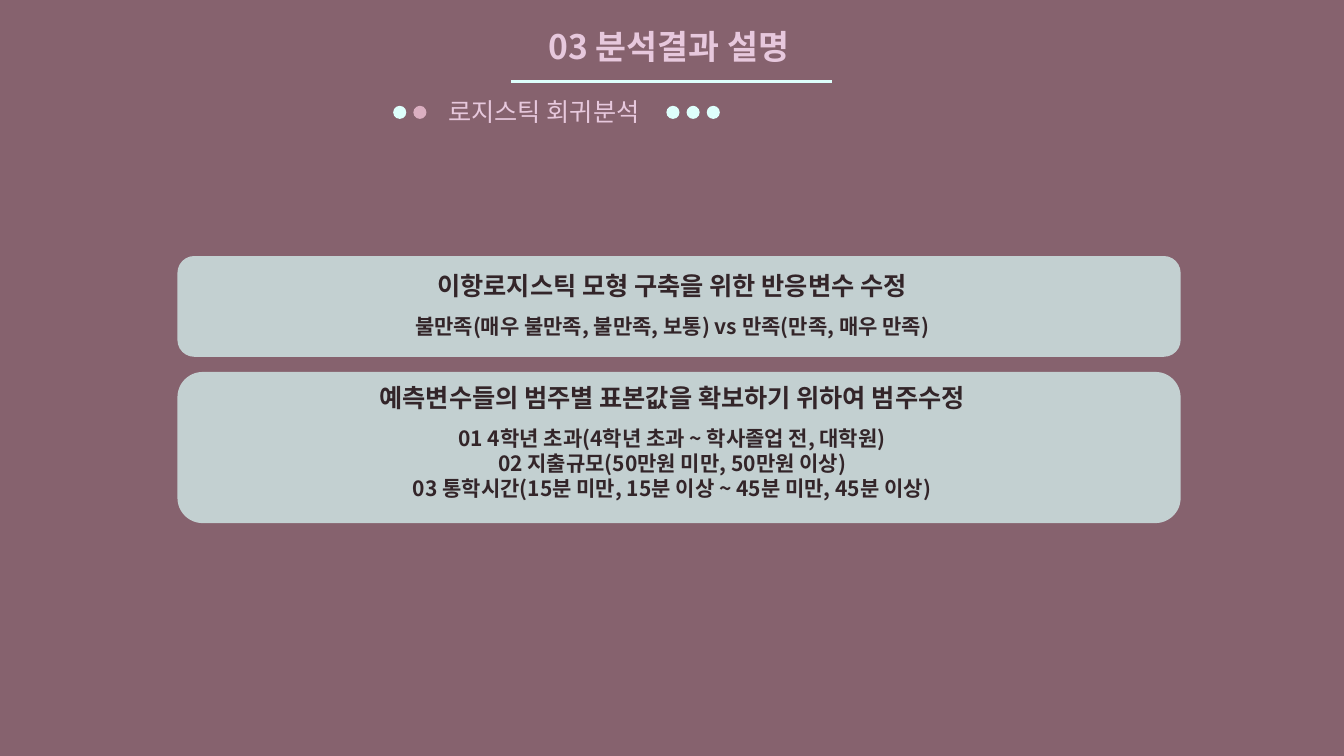
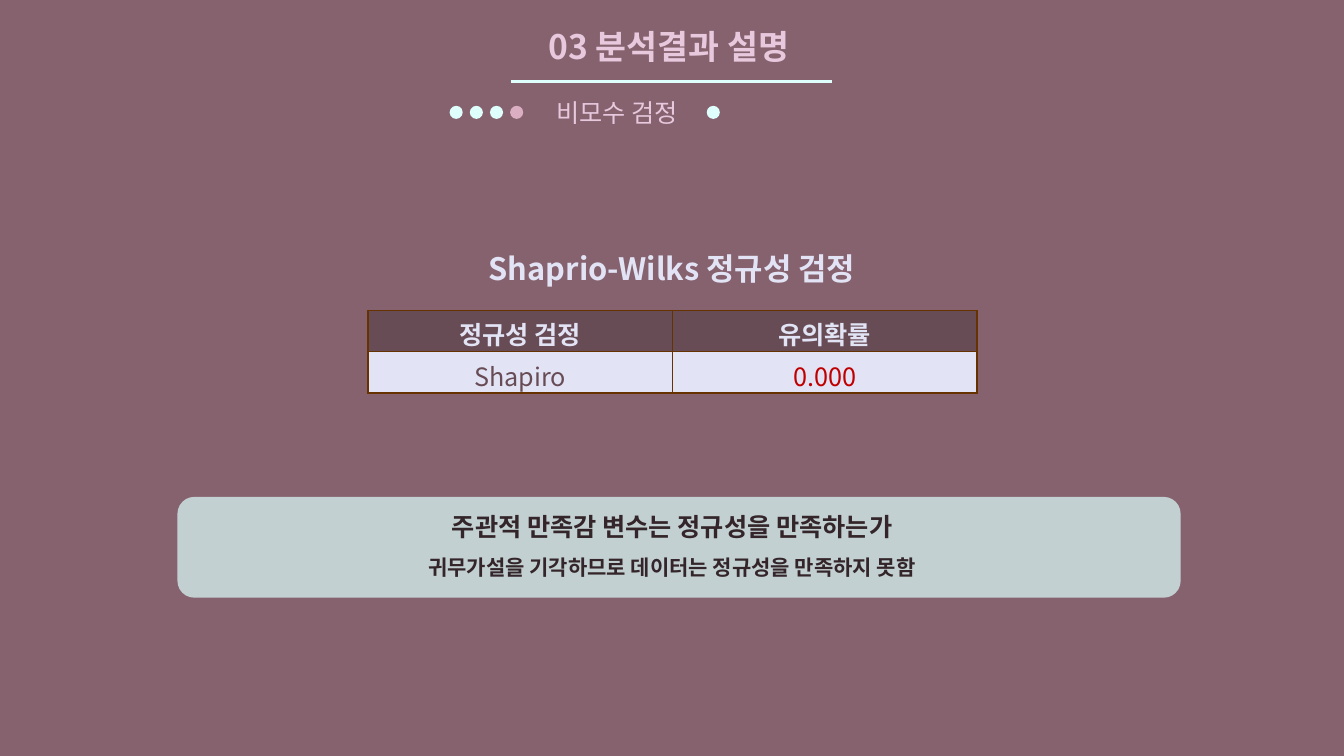
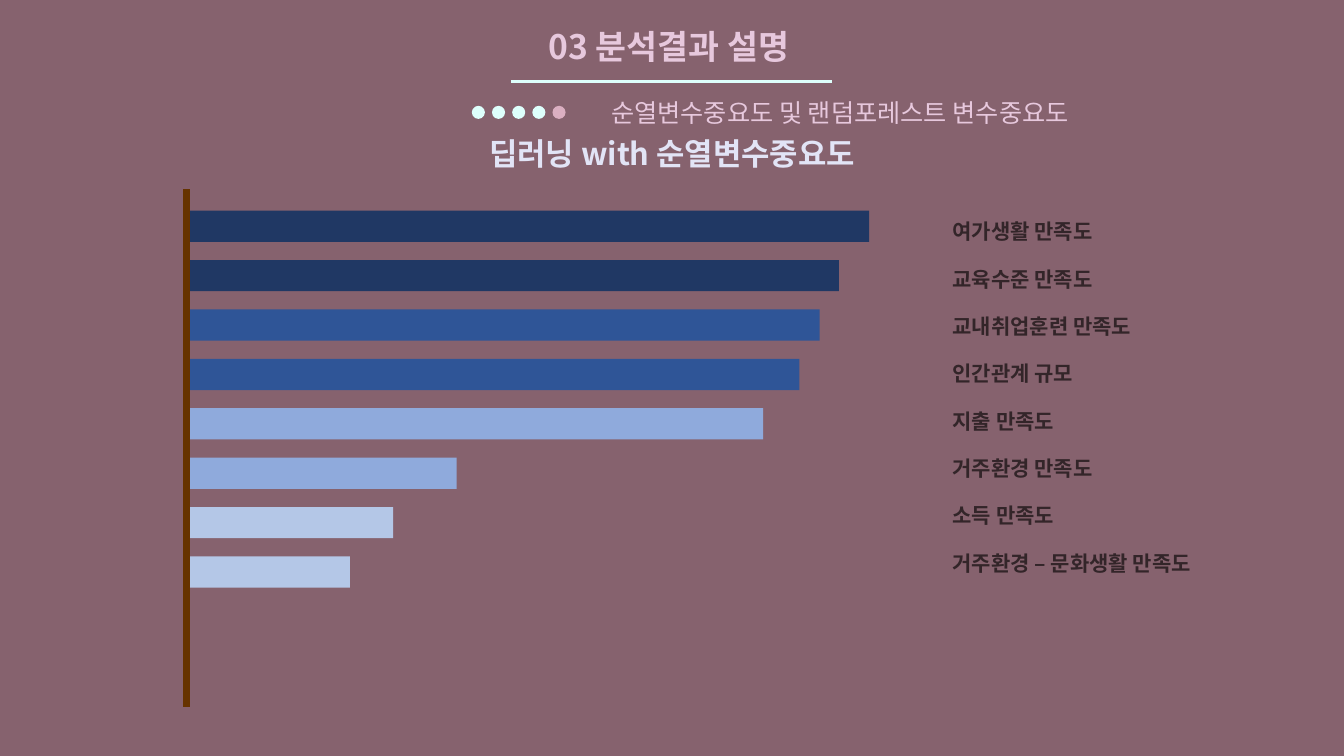
from lxml.etree import SubElement
from pptx import Presentation
from pptx.dml.color import RGBColor
from pptx.enum.shapes import MSO_CONNECTOR as Connector, MSO_SHAPE as Shape
from pptx.enum.text import PP_ALIGN as Align
from pptx.oxml.ns import qn
from pptx.util import Inches, Pt

WIDTH, HEIGHT = 13.33, 7.5
FONT = "Noto Sans CJK KR"
PLUM, MINT, ROSE, PINK = "86626E", "DEFFFC", "DBAFC1", "E7C8DD"
DARK, PALE, HEADER, BROWN, RED = "332529", "E2E4F6", "684C55", "663300", "C00000"

TITLE = "03 분석결과 설명 "
DOT, DOT_STEP, LAST_DOT = 0.13, 0.2, 7.01

RESPONSE_PANEL = (
    "이항로지스틱 모형 구축을 위한 반응변수 수정",
    ["불만족(매우 불만족, 불만족, 보통) vs 만족(만족, 매우 만족)"],
)
PREDICTOR_PANEL = (
    "예측변수들의 범주별 표본값을 확보하기 위하여 범주수정",
    [
        "01 4학년 초과(4학년 초과 ~ 학사졸업 전, 대학원)",
        "02 지출규모(50만원 미만, 50만원 이상)",
        "03 통학시간(15분 미만, 15분 이상 ~ 45분 미만, 45분 이상)",
    ],
)
NORMALITY_PANEL = (
    "주관적 만족감 변수는 정규성을 만족하는가",
    ["귀무가설을 기각하므로 데이터는 정규성을 만족하지 못함"],
)
NORMALITY_TABLE = [
    [("정규성 검정", PALE, HEADER), ("유의확률", PALE, HEADER)],
    [("Shapiro", HEADER, PALE), ("0.000", RED, PALE)],
]
IMPORTANCES = [
    ("여가생활 만족도", 6.79, "203864"),
    ("교육수준 만족도", 6.49, "203864"),
    ("교내취업훈련 만족도", 6.3, "2F5597"),
    ("인간관계 규모", 6.1, "2F5597"),
    ("지출 만족도", 5.74, "8FAADC"),
    ("거주환경 만족도", 2.7, "8FAADC"),
    ("소득 만족도", 2.07, "B4C7E7"),
    ("거주환경 – 문화생활 만족도", 1.64, "B4C7E7"),
]


def color(value):
    return RGBColor.from_string(value)


def style(paragraph, size, ink, bold=False, align=Align.CENTER):
    paragraph.alignment = align
    font = paragraph.font
    font.name, font.size, font.bold = FONT, Pt(size), bold
    font.color.rgb = color(ink)
    SubElement(paragraph._p.pPr.find(qn("a:defRPr")), qn("a:ea"), typeface=FONT)


def add_text(slide, box, lines, size, ink, bold=False, align=Align.CENTER):
    frame = slide.shapes.add_textbox(*map(Inches, box)).text_frame
    frame.word_wrap = True
    frame.text = "\n".join(lines)
    for paragraph in frame.paragraphs:
        style(paragraph, size, ink, bold, align)


def add_block(slide, kind, box, fill, opacity=100):
    shape = slide.shapes.add_shape(kind, *map(Inches, box))
    shape.shadow.inherit = False
    shape.fill.solid()
    shape.fill.fore_color.rgb = color(fill)
    shape.line.fill.background()
    if opacity < 100:
        tint = shape._element.spPr.find(qn("a:solidFill"))[0]
        SubElement(tint, qn("a:alpha"), val=str(opacity * 1000))


def add_line(slide, start, end, ink, weight):
    line = slide.shapes.add_connector(Connector.STRAIGHT, *map(Inches, start + end))
    line.line.color.rgb = color(ink)
    line.line.width = Pt(weight)
    SubElement(line._element.spPr, qn("a:effectLst"))


def add_dots(slide, left, fills):
    for index, fill in enumerate(fills):
        box = (left + index * DOT_STEP, 1.05, DOT, DOT)
        add_block(slide, Shape.FLOWCHART_CONNECTOR, box, fill)


def add_page(presentation, topic, topic_box, first_dot, step, steps_after):
    slide = presentation.slides.add_slide(presentation.slide_layouts[6])
    add_line(slide, (5.07, 0.81), (8.25, 0.81), MINT, 2.25)
    add_text(slide, (4.98, 0.21, 3.38, 0.5), [TITLE], 24, PINK, True)
    add_dots(slide, first_dot, [MINT] * (step - 1) + [ROSE])
    add_dots(slide, LAST_DOT - (steps_after - 1) * DOT_STEP, [MINT] * steps_after)
    add_text(slide, topic_box, [topic], 18, PINK)
    return slide


def add_heading(slide, top, text):
    width = 7.8
    add_text(slide, ((WIDTH - width) / 2, top, width, 0.47), [text], 22, PALE, True)


def add_panel(slide, top, height, content, offset=0.09):
    heading, details = content
    width = 7.45
    left = (WIDTH - width) / 2
    add_block(slide, Shape.ROUNDED_RECTANGLE, (1.76, top, 9.95, height), MINT, 70)
    add_text(slide, (left, top + offset, width, 0.4), [heading], 18, DARK, True)
    details_top = top + offset + 0.43
    add_text(slide, (left, details_top, width, 0.35), details, 15, DARK, True)


def add_borders(cell):
    properties = cell._tc.get_or_add_tcPr()
    for index, side in enumerate(("lnL", "lnR", "lnT", "lnB")):
        border = properties.makeelement(qn("a:" + side), {"w": str(Pt(1))})
        fill = SubElement(border, qn("a:solidFill"))
        SubElement(fill, qn("a:srgbClr"), val=BROWN)
        properties.insert(index, border)


def add_grid(slide, left, top, column_width, row_height, rows):
    size = (column_width * len(rows[0]), row_height * len(rows))
    table = slide.shapes.add_table(
        len(rows), len(rows[0]), *map(Inches, (left, top) + size)
    ).table
    for row_index, row in enumerate(rows):
        for column_index, (text, ink, fill) in enumerate(row):
            cell = table.cell(row_index, column_index)
            cell.text = text
            cell.margin_bottom = 0
            cell.fill.solid()
            cell.fill.fore_color.rgb = color(fill)
            style(cell.text_frame.paragraphs[0], 18, ink, row_index == 0)
            add_borders(cell)


def add_importance_bars(slide):
    axis = 1.85
    for index, (label, length, fill) in enumerate(IMPORTANCES):
        bar = (axis - 0.02, 2.09 + index * 0.49, length, 0.31)
        add_block(slide, Shape.RECTANGLE, bar, fill)
        label_box = (9.35, 2.12 + index * 0.47, 3.48, 0.35)
        add_text(slide, label_box, [label], 15, DARK, True, Align.LEFT)
    add_line(slide, (axis, 1.88), (axis, 7.01), BROWN, 4.5)


def main():
    presentation = Presentation()
    presentation.slide_width = Inches(WIDTH)
    presentation.slide_height = Inches(HEIGHT)
    background = presentation.slide_master.background.fill
    background.solid()
    background.fore_color.rgb = color(PLUM)

    logistic = add_page(
        presentation, "로지스틱 회귀분석", (4.15, 0.91, 2.49, 0.4), 3.9, 2, 3
    )
    add_panel(logistic, 2.54, 1, RESPONSE_PANEL)
    add_panel(logistic, 3.69, 1.5, PREDICTOR_PANEL, 0.05)

    nonparametric = add_page(
        presentation, "비모수 검정", (5.19, 0.92, 1.86, 0.4), 4.46, 4, 1
    )
    add_heading(nonparametric, 2.43, "Shaprio-Wilks 정규성 검정")
    add_grid(nonparametric, 3.65, 3.08, 3.02, 0.41, NORMALITY_TABLE)
    add_panel(nonparametric, 4.93, 1, NORMALITY_PANEL)

    importance = add_page(
        presentation,
        "순열변수중요도 및 랜덤포레스트 변수중요도",
        (5.62, 0.92, 5.42, 0.4),
        4.68,
        5,
        0,
    )
    add_heading(importance, 1.29, "딥러닝 with 순열변수중요도")
    add_importance_bars(importance)

    presentation.save("out.pptx")


if __name__ == "__main__":
    main()
